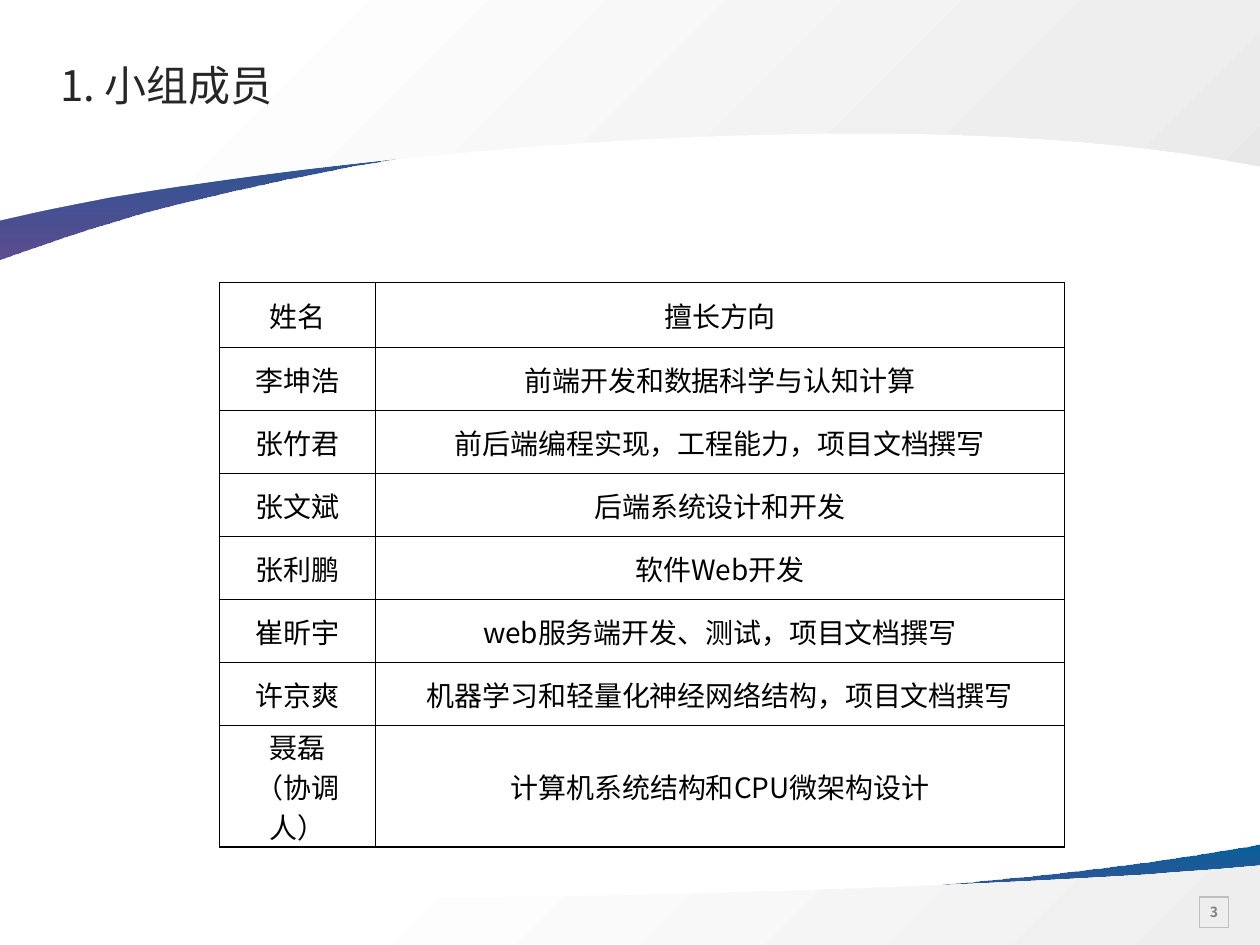
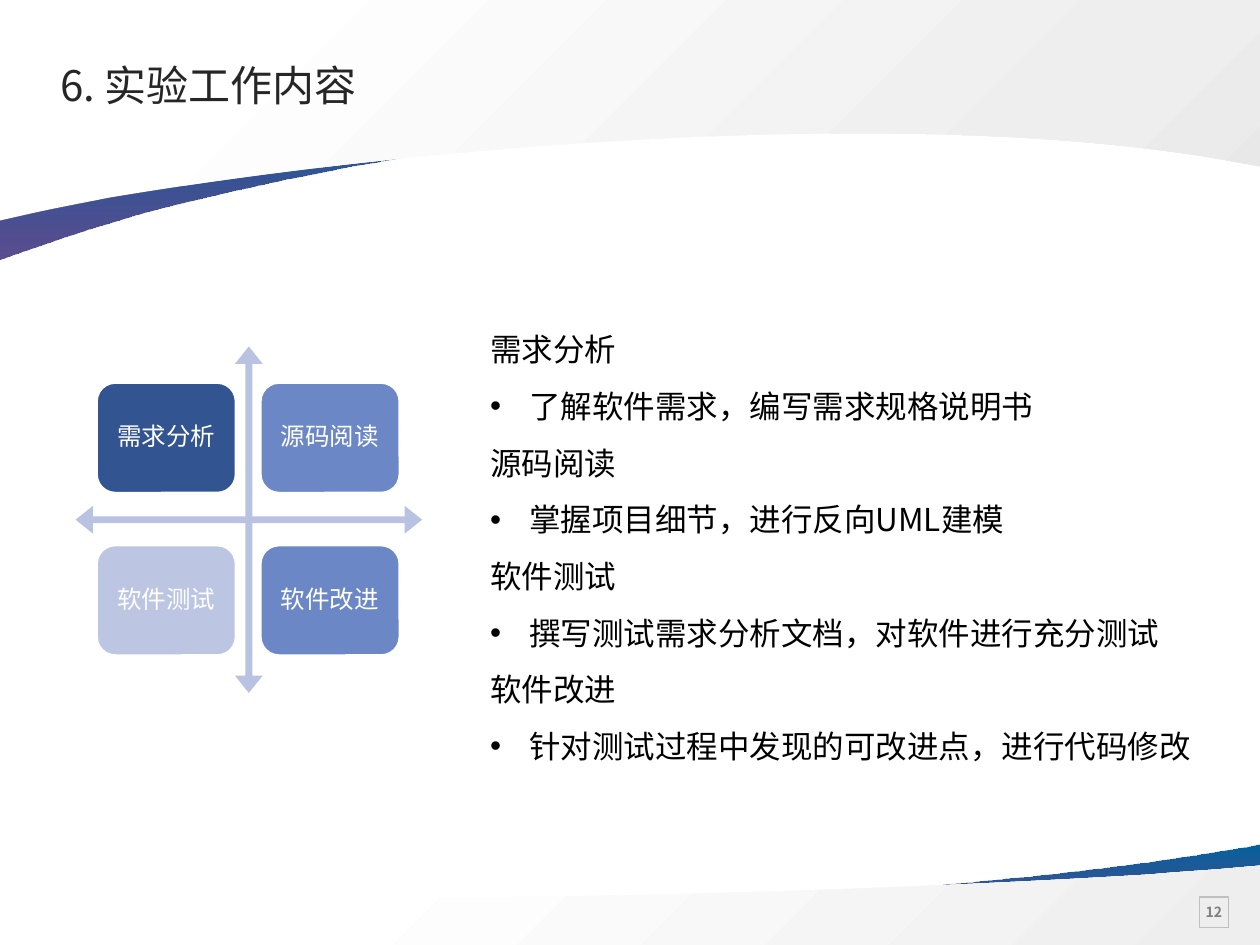
from dataclasses import dataclass
from typing import NamedTuple

from lxml import etree
from pptx import Presentation
from pptx.dml.color import RGBColor
from pptx.enum.shapes import MSO_SHAPE
from pptx.enum.text import MSO_ANCHOR, MSO_AUTO_SIZE, PP_ALIGN
from pptx.oxml import parse_xml
from pptx.oxml.ns import nsdecls, qn
from pptx.util import Inches, Pt

MIDDLE, TOP = MSO_ANCHOR.MIDDLE, MSO_ANCHOR.TOP
LEFT, CENTER = PP_ALIGN.LEFT, PP_ALIGN.CENTER
NO_FIT = MSO_AUTO_SIZE.NONE
RECT, ROUND_RECT, QUAD_ARROW = MSO_SHAPE.RECTANGLE, MSO_SHAPE.ROUNDED_RECTANGLE, MSO_SHAPE.QUAD_ARROW


@dataclass(frozen=True)
class Theme:
    font: str = "Noto Sans CJK SC"
    title: str = "262626"
    text: str = "000000"
    white: str = "FFFFFF"
    number: str = "808080"
    number_border: str = "BFBFBF"
    arrow: str = "B9C2E1"
    tile_dark: str = "325491"
    tile_mid: str = "6C87C5"
    tile_light: str = "BCC6E2"
    title_size: int = 24
    body_size: int = 18
    table_size: int = 16
    tile_size: int = 14
    number_size: int = 8


class Stop(NamedTuple):
    pos: int
    color: str
    alpha: int = 100


class Band(NamedTuple):
    """Outline in inches: a segment of one point is a line, of three a Bézier curve."""
    start: tuple
    segments: list
    stops: list
    angle: int


class Tile(NamedTuple):
    label: str
    color: str


class Topic(NamedTuple):
    heading: str
    task: str


THEME = Theme()
SWOOSH = [Stop(0, "04619D"), Stop(100, "342275", 80)]
BANDS = [
    Band((10, 6.7), [[(10, 7.35)], [(0, 7.35)], [(0, 7.08)], [(0.01, 7.08)],
                     [(2.26, 7.41), (6.15, 7.17), (8.39, 6.93)],
                     [(8.84, 6.88), (9.35, 6.81), (9.89, 6.72)]], SWOOSH, 90),
    Band((10, 6.87), [[(10, 7.5)], [(0, 7.5)], [(0, 7.03)], [(0.33, 7.05)],
                      [(2.94, 7.21), (6.83, 7.08), (9.14, 6.94)],
                      [(9.34, 6.92), (9.56, 6.91), (9.78, 6.89)]],
         [Stop(26, "FFFFFF"), Stop(100, "EEEEEE")], 45),
    Band((0, 2.06), [[(0, 0.66)], [(10, 0.66)], [(10, 1.24)], [(9.99, 1.23)],
                     [(7.74, 0.53), (3.85, 1.03), (1.61, 1.57)],
                     [(1.16, 1.67), (0.65, 1.83), (0.11, 2.02)]], SWOOSH, 90),
    Band((0, 1.75), [[(0, 0)], [(10, 0)], [(10, 1.32)], [(9.67, 1.26)],
                     [(7.06, 0.82), (3.17, 1.18), (0.86, 1.57)],
                     [(0.66, 1.61), (0.44, 1.65), (0.22, 1.7)]],
         [Stop(17, "FFFFFF"), Stop(81, "EEEEEE"), Stop(100, "E8E8E8")], 45),
]
MEMBERS = [
    ("姓名", "擅长方向"),
    ("李坤浩", "前端开发和数据科学与认知计算"),
    ("张竹君", "前后端编程实现，工程能力，项目文档撰写"),
    ("张文斌", "后端系统设计和开发"),
    ("张利鹏", "软件Web开发"),
    ("崔昕宇", "web服务端开发、测试，项目文档撰写"),
    ("许京爽", "机器学习和轻量化神经网络结构，项目文档撰写"),
    ("聂磊\n（协调人）", "计算机系统结构和CPU微架构设计"),
]
COLUMN_WIDTHS = [1.24, 5.47]
ROW_HEIGHTS = [0.52] + [0.5] * 6 + [0.55]
TILES = [
    Tile("需求分析", THEME.tile_dark), Tile("源码阅读", THEME.tile_mid),
    Tile("软件测试", THEME.tile_light), Tile("软件改进", THEME.tile_mid),
]
TOPICS = [
    Topic("需求分析", "了解软件需求，编写需求规格说明书"),
    Topic("源码阅读", "掌握项目细节，进行反向UML建模"),
    Topic("软件测试", "撰写测试需求分析文档，对软件进行充分测试"),
    Topic("软件改进", "针对测试过程中发现的可改进点，进行代码修改"),
]


def rgb(color: str) -> RGBColor:
    return RGBColor.from_string(color)


def style(p, size: int, color: str, align=LEFT, bold: bool = False) -> None:
    p.alignment = align
    font = p.font
    font.size, font.bold, font.name = Pt(size), bold, THEME.font
    font.color.rgb = rgb(color)
    etree.SubElement(font._rPr, qn("a:ea")).set("typeface", THEME.font)


def place(shape, left: float, top: float, width: float, height: float) -> None:
    shape.left, shape.top = Inches(left), Inches(top)
    shape.width, shape.height = Inches(width), Inches(height)


def set_margins(frame, left: float, top: float, right: float, bottom: float) -> None:
    """Set the insets of a text frame or a table cell."""
    frame.margin_left, frame.margin_top = Inches(left), Inches(top)
    frame.margin_right, frame.margin_bottom = Inches(right), Inches(bottom)


def add_block(s, kind, box: tuple, fill: str | None = None,
              line: str | None = None, weight: float = 1):
    sp = s.shapes.add_shape(kind, *map(Inches, box))
    sp.shadow.inherit = False
    if fill:
        sp.fill.solid()
        sp.fill.fore_color.rgb = rgb(fill)
    else:
        sp.fill.background()
    if line:
        sp.line.color.rgb = rgb(line)
        sp.line.width = Pt(weight)
    else:
        sp.line.fill.background()
    return sp


def bend_segments(sp, segments: list) -> None:
    """Turn the straight sides that stand for curves into Bézier segments."""
    sides = list(sp._element.iter(qn("a:lnTo")))
    for side, segment in zip(sides, segments):
        if len(segment) == 1:
            continue
        curve = etree.Element(qn("a:cubicBezTo"))
        for x, y in segment:
            pt = etree.SubElement(curve, qn("a:pt"))
            pt.set("x", str(Inches(x) - sp.left))
            pt.set("y", str(Inches(y) - sp.top))
        side.getparent().replace(side, curve)


def add_band(s, band: Band):
    corners = [band.start] + [segment[-1] for segment in band.segments]
    emu = [(Inches(x), Inches(y)) for x, y in corners]
    builder = s.shapes.build_freeform(*emu[0])
    builder.add_line_segments(emu[1:], close=True)
    sp = builder.convert_to_shape()
    bend_segments(sp, band.segments)
    sp.shadow.inherit = False
    sp.line.fill.background()
    sp.fill.background()
    stops = "".join(
        f'<a:gs pos="{stop.pos * 1000}"><a:srgbClr val="{stop.color}">'
        f'<a:alpha val="{stop.alpha * 1000}"/></a:srgbClr></a:gs>' for stop in band.stops)
    gradient = parse_xml(
        f'<a:gradFill {nsdecls("a")} rotWithShape="1"><a:gsLst>{stops}</a:gsLst>'
        f'<a:lin ang="{band.angle * 60000}" scaled="0"/></a:gradFill>')
    props = sp._element.spPr
    props.replace(props.find(qn("a:noFill")), gradient)
    return sp


def add_master_bands(prs, s) -> None:
    """Draw the bands on a slide and move them behind everything on the master."""
    tree = prs.slide_master.shapes._spTree
    for i, band in enumerate(BANDS):
        element = add_band(s, band)._element
        element.nvSpPr.cNvPr.id = 100 + i
        tree.insert(2 + i, element)


def add_slide(prs, layout: int, title: str, number: int):
    s = prs.slides.add_slide(prs.slide_layouts[layout])
    place(s.shapes.title, 0.4, 0.41, 9, 0.58)
    tf = s.shapes.title.text_frame
    tf.text = title
    tf.auto_size, tf.word_wrap, tf.vertical_anchor = NO_FIT, True, MIDDLE
    set_margins(tf, 0.08, 0.08, 0, 0.08)
    tf.paragraphs[0].line_spacing = 0.9
    style(tf.paragraphs[0], THEME.title_size, THEME.title)

    box = add_block(s, RECT, (9.52, 7.12, 0.23, 0.24), line=THEME.number_border, weight=0.75)
    tf = box.text_frame
    tf.text = str(number)
    tf.word_wrap, tf.vertical_anchor = False, MIDDLE
    set_margins(tf, 0.08, 0.08, 0.08, 0.08)
    style(tf.paragraphs[0], THEME.number_size, THEME.number, CENTER, bold=True)
    return s


def add_borders(cell, color: str) -> None:
    props = cell._tc.get_or_add_tcPr()
    for i, side in enumerate(("lnL", "lnR", "lnT", "lnB")):
        props.insert(i, parse_xml(
            f'<a:{side} {nsdecls("a")} w="{Pt(1)}"><a:solidFill>'
            f'<a:srgbClr val="{color}"/></a:solidFill></a:{side}>'))


def add_member_table(s) -> None:
    table = s.shapes.add_table(
        len(MEMBERS), len(COLUMN_WIDTHS), Inches(1.74), Inches(2.24),
        Inches(sum(COLUMN_WIDTHS)), Inches(sum(ROW_HEIGHTS))).table
    table.first_row = table.horz_banding = False
    for column, width in zip(table.columns, COLUMN_WIDTHS):
        column.width = Inches(width)
    for row, height, member in zip(table.rows, ROW_HEIGHTS, MEMBERS):
        row.height = Inches(height)
        for cell, text in zip(row.cells, member):
            cell.text = text
            cell.vertical_anchor = MIDDLE
            set_margins(cell, 0.07, 0, 0.07, 0)
            cell.fill.background()
            add_borders(cell, THEME.text)
            for p in cell.text_frame.paragraphs:
                style(p, THEME.table_size, THEME.text, CENTER)


def add_work_matrix(s) -> None:
    arrow = add_block(s, QUAD_ARROW, (0.6, 2.75, 2.75, 2.75), THEME.arrow)
    for i, value in enumerate((0.02, 0.04, 0.05)):
        arrow.adjustments[i] = value
    for i, tile in enumerate(TILES):
        row, column = divmod(i, 2)
        box = (0.77 + 1.3 * column, 3.04 + 1.29 * row, 1.1, 0.87)
        tf = add_block(s, ROUND_RECT, box, tile.color, THEME.white).text_frame
        tf.text = tile.label
        tf.word_wrap, tf.vertical_anchor = True, MIDDLE
        set_margins(tf, 0.06, 0.06, 0.06, 0.06)
        tf.paragraphs[0].line_spacing = 0.9
        style(tf.paragraphs[0], THEME.tile_size, THEME.white, CENTER)


def add_body_line(p, text: str, bullet: bool) -> None:
    p.text = text
    indent = Inches(0.31) if bullet else 0
    props = p._p.get_or_add_pPr()
    props.set("marL", str(indent))
    props.set("indent", str(-indent))
    if bullet:
        etree.SubElement(props, qn("a:buChar")).set("char", "•")
    else:
        etree.SubElement(props, qn("a:buNone"))
    p.line_spacing, p.space_before = Pt(32.4), Pt(0)
    style(p, THEME.body_size, THEME.text)


def fill_topics(body) -> None:
    place(body, 3.79, 2.42, 5.82, 3.68)
    tf = body.text_frame
    tf.auto_size, tf.word_wrap, tf.vertical_anchor = NO_FIT, True, TOP
    for i, topic in enumerate(TOPICS):
        add_body_line(tf.add_paragraph() if i else tf.paragraphs[0], topic.heading, False)
        add_body_line(tf.add_paragraph(), topic.task, True)


def main() -> None:
    prs = Presentation()
    prs.slide_width, prs.slide_height = Inches(10), Inches(7.5)

    s = add_slide(prs, 5, "1. 小组成员", 3)
    add_master_bands(prs, s)
    add_member_table(s)

    s = add_slide(prs, 1, "6. 实验工作内容", 12)
    add_work_matrix(s)
    fill_topics(s.placeholders[1])

    prs.save("out.pptx")


if __name__ == "__main__":
    main()
